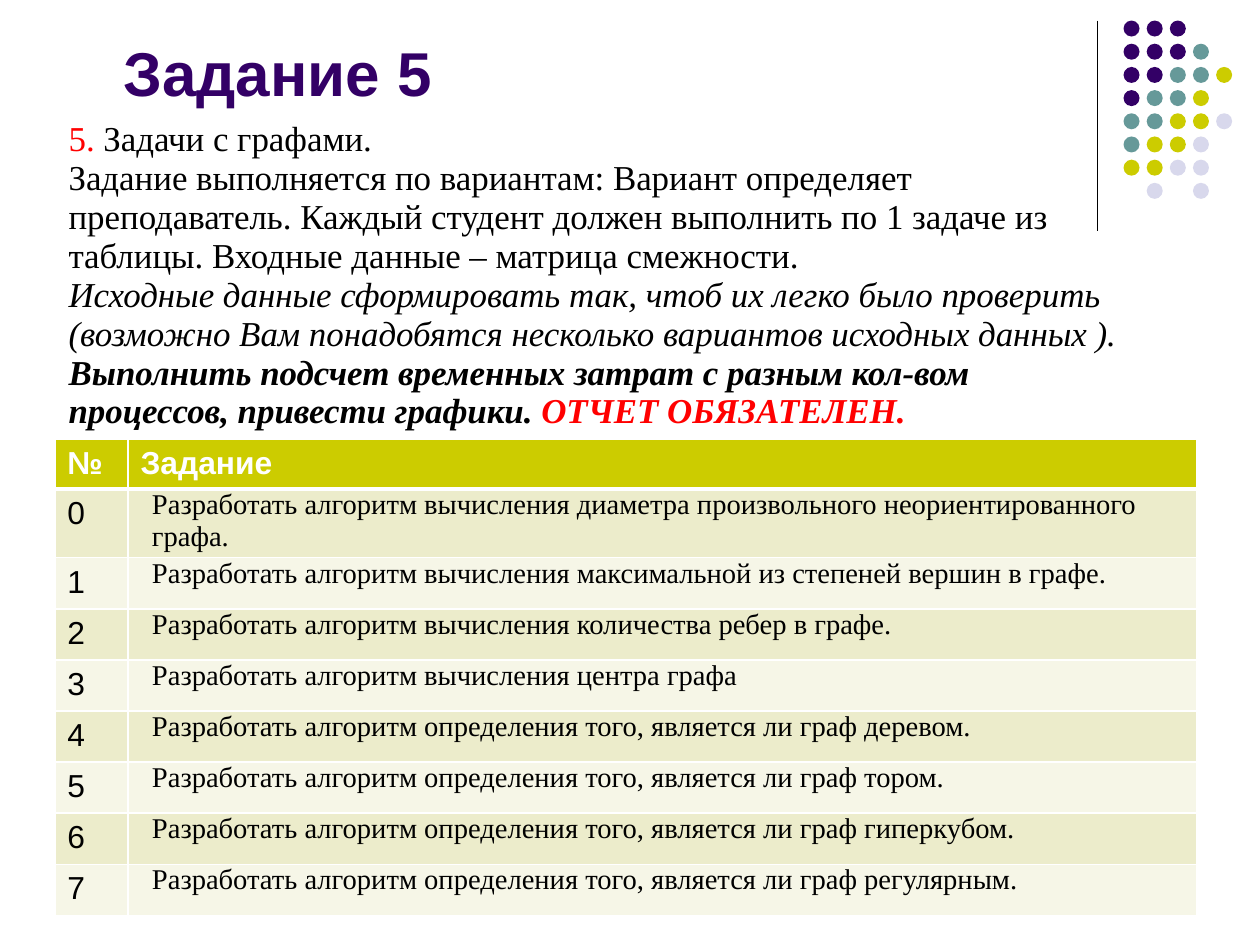
from collections import namedtuple
from dataclasses import dataclass

from lxml import etree
from pptx import Presentation
from pptx import util as u
from pptx.dml.color import RGBColor
from pptx.enum import shapes, text
from pptx.oxml import ns

Box = namedtuple("Box", "left top width height")
CM_PER_INCH = 2.54


@dataclass(frozen=True)
class Theme:
    purple: str = "330066"
    teal: str = "669999"
    olive: str = "CCCC00"
    lavender: str = "D8D8EC"
    black: str = "000000"
    white: str = "FFFFFF"
    red: str = "FF0000"
    bands: tuple = ("ECECCB", "F6F6E7")
    sans: str = "Arial"
    serif: str = "Times New Roman"
    title_size: int = 39
    body_size: int = 22
    number_size: int = 20
    task_size: int = 18


THEME = Theme()
DOT_COLORS = {"P": THEME.purple, "T": THEME.teal, "Y": THEME.olive, "L": THEME.lavender}
DOT_ROWS = ["PPP", "PPPT", "PPTTY", "PTTY", "TTYYL", "TYYL", "YYLL", " L L"]
INSTRUCTIONS = [
    [("5. ", THEME.red, False, False), ("Задачи с графами.", THEME.black, False, False)],
    [("Задание выполняется по вариантам: Вариант определяет преподаватель. "
      "Каждый студент должен выполнить по 1 задаче из таблицы. "
      "Входные данные – матрица смежности.", THEME.black, False, False)],
    [("Исходные данные сформировать так, чтоб их легко было проверить "
      "(возможно Вам понадобятся несколько вариантов исходных данных ).",
      THEME.black, False, True)],
    [("Выполнить подсчет временных затрат с разным кол-вом процессов, "
      "привести графики. ", THEME.black, True, True),
     ("ОТЧЕТ ОБЯЗАТЕЛЕН.", THEME.red, True, True)],
]
TASKS = [
    "Разработать алгоритм вычисления диаметра произвольного неориентированного графа.",
    "Разработать алгоритм вычисления максимальной из степеней вершин в графе.",
    "Разработать алгоритм вычисления количества ребер в графе.",
    "Разработать алгоритм вычисления центра графа",
    "Разработать алгоритм определения того, является ли граф деревом.",
    "Разработать алгоритм определения того, является ли граф тором.",
    "Разработать алгоритм определения того, является ли граф гиперкубом.",
    "Разработать алгоритм определения того, является ли граф регулярным.",
]


def add_run(paragraph, words, font, size, color, bold=False, italic=False):
    run = paragraph.add_run()
    run.text = words
    run.font.name = font
    run.font.size = u.Pt(size)
    run.font.color.rgb = RGBColor.from_string(color)
    run.font.bold = bold
    run.font.italic = italic


def place(placeholder, box, anchor):
    placeholder.left, placeholder.top = u.Inches(box.left), u.Inches(box.top)
    placeholder.width, placeholder.height = u.Inches(box.width), u.Inches(box.height)
    frame = placeholder.text_frame
    frame.word_wrap = True
    frame.auto_size = text.MSO_AUTO_SIZE.NONE
    frame.vertical_anchor = anchor
    return frame


def fill_title(slide, box):
    frame = place(slide.shapes.title, box, text.MSO_ANCHOR.BOTTOM)
    heading = frame.paragraphs[0]
    heading.alignment = text.PP_ALIGN.LEFT
    add_run(heading, "Задание 5", THEME.sans, THEME.title_size, THEME.purple, bold=True)


def fill_instructions(slide, box):
    frame = place(slide.placeholders[1], box, text.MSO_ANCHOR.TOP)
    for index, pieces in enumerate(INSTRUCTIONS):
        paragraph = frame.add_paragraph() if index else frame.paragraphs[0]
        props = paragraph._p.get_or_add_pPr()
        props.set("marL", "0")
        props.set("indent", "0")
        etree.SubElement(props, ns.qn("a:buNone"))
        paragraph.space_before = u.Pt(0)
        paragraph.line_spacing = 0.93
        for words, color, bold, italic in pieces:
            add_run(paragraph, words, THEME.serif, THEME.body_size, color, bold, italic)


def add_rule(slide, box):
    left, top = u.Inches(box.left), u.Inches(box.top)
    rule = slide.shapes.add_connector(
        shapes.MSO_CONNECTOR.STRAIGHT, left, top, left, top + u.Inches(box.height))
    rule.line.color.rgb = RGBColor.from_string(THEME.black)
    rule.line.width = u.Pt(0.75)
    etree.SubElement(rule._element.spPr, ns.qn("a:effectLst"))


def add_dots(slide, box, diameter=0.14):
    column_step = (box.width - diameter) / (max(map(len, DOT_ROWS)) - 1)
    row_step = (box.height - diameter) / (len(DOT_ROWS) - 1)
    for row, codes in enumerate(DOT_ROWS):
        for column, code in enumerate(codes):
            if code == " ":
                continue
            dot = slide.shapes.add_shape(
                shapes.MSO_SHAPE.OVAL,
                u.Inches(box.left + column * column_step),
                u.Inches(box.top + row * row_step),
                u.Inches(diameter), u.Inches(diameter))
            dot.shadow.inherit = False
            dot.fill.solid()
            dot.fill.fore_color.rgb = RGBColor.from_string(DOT_COLORS[code])
            dot.line.fill.background()


def style_cell(cell, fill, margins, top=1, bottom=1):
    cell.margin_left = cell.margin_right = u.Inches(margins[0])
    cell.margin_top = cell.margin_bottom = u.Inches(margins[1])
    cell.vertical_anchor = text.MSO_ANCHOR.TOP
    cell.fill.solid()
    cell.fill.fore_color.rgb = RGBColor.from_string(fill)
    props = cell._tc.get_or_add_tcPr()
    widths = {"lnL": 1, "lnR": 1, "lnT": top, "lnB": bottom}
    for position, (side, width) in enumerate(widths.items()):
        border = etree.Element(ns.qn(f"a:{side}"), w=str(u.Pt(width)))
        solid = etree.SubElement(border, ns.qn("a:solidFill"))
        etree.SubElement(solid, ns.qn("a:srgbClr"), val=THEME.white)
        props.insert(position, border)


def add_tasks(slide, box):
    number_width, header_height, tall_row = 0.64, 0.44, 0.6
    row_height = (box.height - header_height - tall_row) / (len(TASKS) - 1)
    table = slide.shapes.add_table(
        len(TASKS) + 1, 2, *(u.Inches(length) for length in box)).table
    table.columns[0].width = u.Inches(number_width)
    table.columns[1].width = u.Inches(box.width - number_width)
    heights = [header_height, tall_row] + [row_height] * (len(TASKS) - 1)
    for row, height in zip(table.rows, heights):
        row.height = u.Inches(height)

    wide, narrow = (0.11, 0.06), (0.08, 0)
    for column, label in enumerate(["№", "Задание"]):
        header = table.cell(0, column)
        style_cell(header, THEME.olive, wide, bottom=3)
        add_run(header.text_frame.paragraphs[0], label, THEME.sans,
                THEME.number_size, THEME.white, bold=True)
    for index, task in enumerate(TASKS):
        number_cell, task_cell = table.cell(index + 1, 0), table.cell(index + 1, 1)
        for cell, margins in ((number_cell, wide), (task_cell, narrow)):
            style_cell(cell, THEME.bands[index % 2], margins, top=1 if index else 3)
        add_run(number_cell.text_frame.paragraphs[0], str(index), THEME.sans,
                THEME.number_size, THEME.black)
        paragraph = task_cell.text_frame.paragraphs[0]
        props = paragraph._p.get_or_add_pPr()
        props.set("marL", str(u.Inches(0.13)))
        props.set("indent", "0")
        add_run(paragraph, task, THEME.serif, THEME.task_size, THEME.black)


def main():
    deck = Presentation()
    deck.slide_width = u.Inches(28 / CM_PER_INCH)
    deck.slide_height = u.Inches(21 / CM_PER_INCH)
    slide = deck.slides.add_slide(deck.slide_layouts[1])
    add_rule(slide, Box(9.6, 0.18, 0, 1.84))
    add_dots(slide, Box(9.83, 0.18, 0.95, 1.56))
    fill_instructions(slide, Box(0.5, 1, 9.5, 3.21))
    fill_title(slide, Box(0.98, 0.23, 8.46, 0.77))
    add_tasks(slide, Box(0.48, 3.84, 9.99, 4.17))
    deck.save("out.pptx")


if __name__ == "__main__":
    main()
